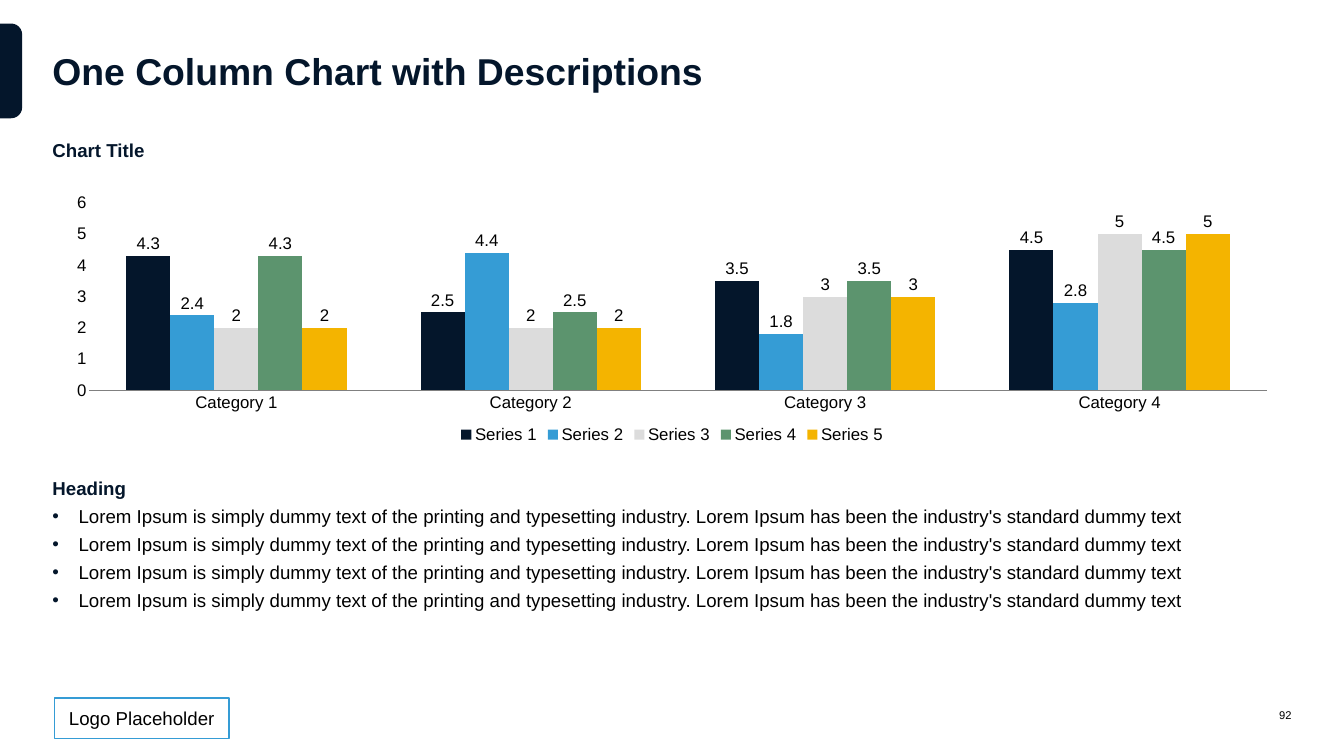
from typing import NamedTuple

from lxml.etree import SubElement
from pptx import Presentation
from pptx.chart.data import CategoryChartData
from pptx.dml.color import RGBColor
from pptx.enum.chart import XL_CHART_TYPE, XL_LABEL_POSITION, XL_LEGEND_POSITION, XL_TICK_MARK
from pptx.enum.shapes import MSO_SHAPE
from pptx.enum.text import MSO_ANCHOR, MSO_AUTO_SIZE, PP_ALIGN
from pptx.oxml.ns import qn
from pptx.util import Inches, Pt

FONT = "Arial"
COLORS = {
    "navy": "04162B", "blue": "359CD5", "light": "DCDCDC", "green": "5C946E",
    "gold": "F4B400", "gray": "808080", "black": "000000", "white": "FFFFFF",
}
LEFT, WIDTH = 0.78, 18.44
LOREM = ("Lorem Ipsum is simply dummy text of the printing and typesetting industry. "
         "Lorem Ipsum has been the industry's standard dummy text")


class Series(NamedTuple):
    name: str
    color: str
    vals: tuple


class Box(NamedTuple):
    x: float
    y: float
    w: float
    h: float

    def inches(self) -> list:
        return [Inches(v) for v in self]


SERIES = [
    Series("Series 1", "navy", (4.3, 2.5, 3.5, 4.5)),
    Series("Series 2", "blue", (2.4, 4.4, 1.8, 2.8)),
    Series("Series 3", "light", (2, 2, 3, 5)),
    Series("Series 4", "green", (4.3, 2.5, 3.5, 4.5)),
    Series("Series 5", "gold", (2, 2, 3, 5)),
]


def rgb(name: str) -> RGBColor:
    return RGBColor.from_string(COLORS[name])


def style(font, size: float, color: str = "black", bold: bool = False) -> None:
    font.name, font.size, font.bold = FONT, Pt(size), bold
    font.color.rgb = rgb(color)


def bullet(para) -> None:
    props = para._p.get_or_add_pPr()
    props.set("marL", str(Inches(0.39)))
    props.set("indent", str(-Inches(0.39)))
    tint = SubElement(props, qn("a:buClr"))
    SubElement(tint, qn("a:srgbClr")).set("val", COLORS["navy"])
    SubElement(props, qn("a:buFont")).set("typeface", FONT)
    SubElement(props, qn("a:buChar")).set("char", "•")


def write(shape, text: str, *, size: float = 20, color: str = "black",
          bold: bool = False, align=PP_ALIGN.LEFT, anchor=MSO_ANCHOR.TOP,
          gap: float = 0, dot: bool = False, more: bool = False) -> None:
    """Fill a shape with text, or append a paragraph when more is set."""
    frame = shape.text_frame
    frame.word_wrap, frame.auto_size = True, MSO_AUTO_SIZE.NONE
    frame.vertical_anchor = anchor
    frame.margin_left = frame.margin_right = frame.margin_top = frame.margin_bottom = 0
    para = frame.add_paragraph() if more else frame.paragraphs[0]
    para.alignment = align
    para.space_before, para.space_after = Pt(gap if more else 0), Pt(gap)
    if dot:
        bullet(para)
    run = para.add_run()
    run.text = text
    style(run.font, size, color, bold)


def add_box(slide, kind, box: Box, fill: str, line: str = ""):
    shape = slide.shapes.add_shape(kind, *box.inches())
    shape.shadow.inherit = False
    shape.fill.solid()
    shape.fill.fore_color.rgb = rgb(fill)
    if line:
        shape.line.color.rgb, shape.line.width = rgb(line), Pt(1.5)
    else:
        shape.line.fill.background()
    return shape


def add_columns(slide, box: Box) -> None:
    data = CategoryChartData()
    data.categories = [f"Category {n}" for n in range(1, 5)]
    for item in SERIES:
        data.add_series(item.name, item.vals)
    chart = slide.shapes.add_chart(
        XL_CHART_TYPE.COLUMN_CLUSTERED, *box.inches(), data).chart
    chart.has_title = False
    style(chart.font, 18)

    # Axes
    for axis in (chart.category_axis, chart.value_axis):
        axis.has_major_gridlines = False
        axis.major_tick_mark = axis.minor_tick_mark = XL_TICK_MARK.NONE
        style(axis.tick_labels.font, 18)
    rule = chart.category_axis.format.line
    rule.color.rgb, rule.width = rgb("gray"), Pt(0.75)
    scale = chart.value_axis
    scale.format.line.fill.background()
    scale.minimum_scale, scale.maximum_scale, scale.major_unit = 0, 6, 1

    # Legend
    chart.has_legend = True
    chart.legend.position = XL_LEGEND_POSITION.BOTTOM
    chart.legend.include_in_layout = False
    style(chart.legend.font, 18)

    # Columns and labels
    plot = chart.plots[0]
    plot.gap_width, plot.overlap, plot.vary_by_categories = 168, 0, False
    for item, bars in zip(SERIES, plot.series):
        bars.format.fill.solid()
        bars.format.fill.fore_color.rgb = rgb(item.color)
        bars.invert_if_negative = False
        labels = bars.data_labels
        labels.show_value, labels.position = True, XL_LABEL_POSITION.OUTSIDE_END
        style(labels.font, 18)


def main() -> None:
    prs = Presentation()
    prs.slide_width, prs.slide_height = Inches(20), Inches(11.25)
    slide = prs.slides.add_slide(prs.slide_layouts[5])

    def text_box(box: Box):
        return slide.shapes.add_textbox(*box.inches())

    # Side tab and logo box
    tab = add_box(slide, MSO_SHAPE.ROUND_2_SAME_RECTANGLE,
                  Box(-0.54, 0.89, 1.41, 0.33), "navy")
    tab.rotation = 90
    tab.adjustments[0] = 0.5
    logo = add_box(slide, MSO_SHAPE.RECTANGLE, Box(0.81, 10.39, 2.6, 0.6), "white", "blue")
    write(logo, "Logo Placeholder", align=PP_ALIGN.CENTER, anchor=MSO_ANCHOR.MIDDLE)

    # Title
    title = slide.shapes.title
    title.left, title.top, title.width, title.height = Box(LEFT, 0.35, WIDTH, 1.39).inches()
    write(title, "One Column Chart with Descriptions", size=40, color="navy",
          bold=True, anchor=MSO_ANCHOR.MIDDLE)

    # Chart with its heading
    write(text_box(Box(LEFT, 2.07, 8.72, 0.34)), "Chart Title", color="navy", bold=True, gap=3)
    add_columns(slide, Box(LEFT, 2.8, WIDTH, 3.86))

    # Description
    body = text_box(Box(LEFT, 7.09, WIDTH, 2.24))
    write(body, "Heading", color="navy", bold=True, gap=3)
    for _ in range(4):
        write(body, LOREM, gap=3, dot=True, more=True)

    # Page number
    write(text_box(Box(18.34, 10.39, 0.88, 0.51)), "92", size=12,
          align=PP_ALIGN.RIGHT, anchor=MSO_ANCHOR.MIDDLE)

    prs.save("out.pptx")


if __name__ == "__main__":
    main()
